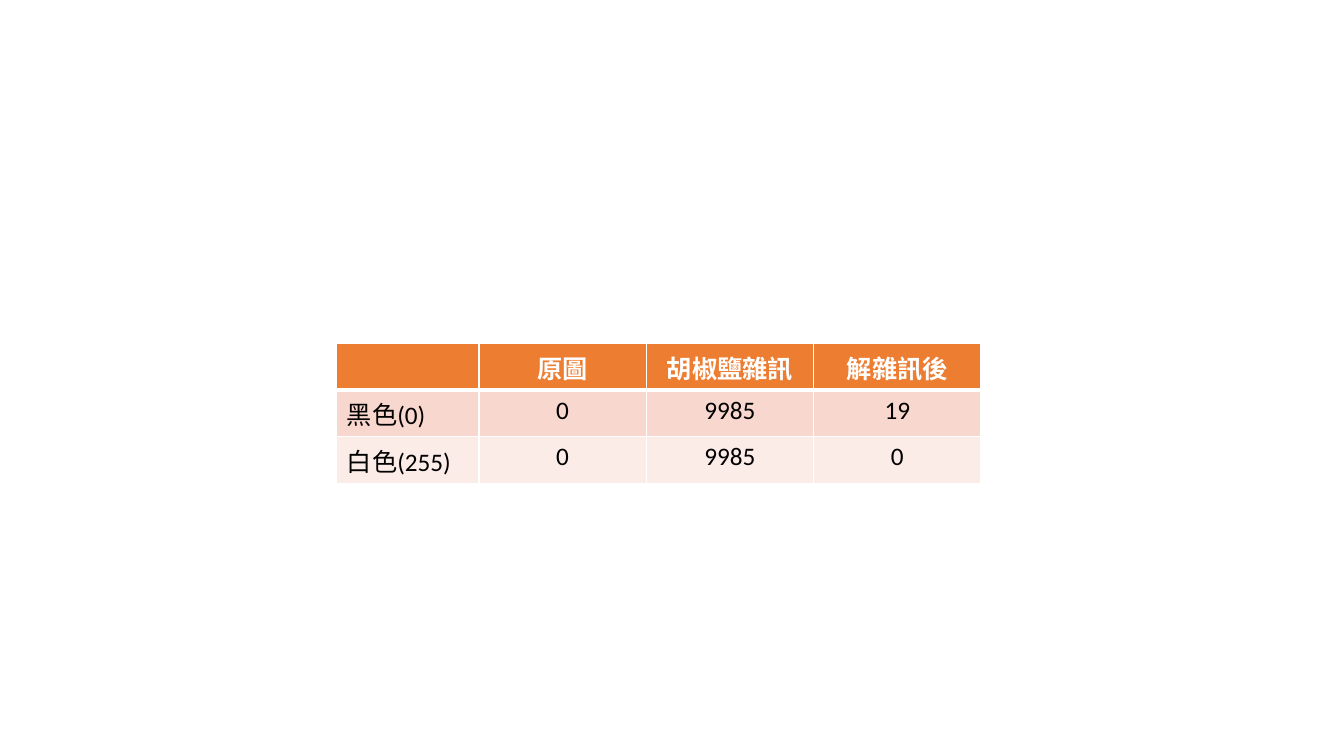
"""Build a slide with a table of black and white pixel counts before and after denoising."""
import pptx
import pptx.dml.color
import pptx.enum.text
import pptx.oxml
import pptx.oxml.ns
import pptx.util


def color(hex_code):
    return pptx.dml.color.RGBColor.from_string(hex_code)


def add_border(cell, side, points):
    cell._tc.get_or_add_tcPr().append(pptx.oxml.parse_xml(
        f'<a:{side} {pptx.oxml.ns.nsdecls("a")} w="{pptx.util.Pt(points)}">'
        f'<a:solidFill><a:srgbClr val="FFFFFF"/></a:solidFill></a:{side}>'))


deck = pptx.Presentation()
deck.slide_width = pptx.util.Inches(13.33)
deck.slide_height = pptx.util.Inches(7.5)
page = deck.slides.add_slide(deck.slide_layouts[6])

pixel_counts = [
    ["", "原圖", "胡椒鹽雜訊", "解雜訊後"],
    ["黑色(0)", "0", "9985", "19"],
    ["白色(255)", "0", "9985", "0"],
]
row_fills = ["ED7D31", "F8D7CE", "FCECE8"]
column_widths = [1.41] + [1.66] * 3
row_height = 0.41

table = page.shapes.add_table(
    len(pixel_counts), len(column_widths),
    pptx.util.Inches(3.34), pptx.util.Inches(3.41),
    pptx.util.Inches(sum(column_widths)),
    pptx.util.Inches(row_height * len(pixel_counts))).table
for column, width in zip(table.columns, column_widths):
    column.width = pptx.util.Inches(width)

for row_index, (labels, row_fill) in enumerate(zip(pixel_counts, row_fills)):
    table.rows[row_index].height = pptx.util.Inches(row_height)
    is_header = row_index == 0
    for column_index, label in enumerate(labels):
        cell = table.cell(row_index, column_index)
        for side in ("lnL", "lnR", "lnT", "lnB"):
            under_header = (row_index, side) in ((0, "lnB"), (1, "lnT"))
            add_border(cell, side, 3 if under_header else 1)
        cell.fill.solid()
        cell.fill.fore_color.rgb = color(row_fill)
        cell.text = label
        para = cell.text_frame.paragraphs[0]
        if column_index > 0:
            para.alignment = pptx.enum.text.PP_ALIGN.CENTER
        para.font.name = "Calibri"
        para.font.size = pptx.util.Pt(18)
        para.font.bold = is_header
        para.font.color.rgb = color("FFFFFF" if is_header else "000000")

deck.save("out.pptx")
